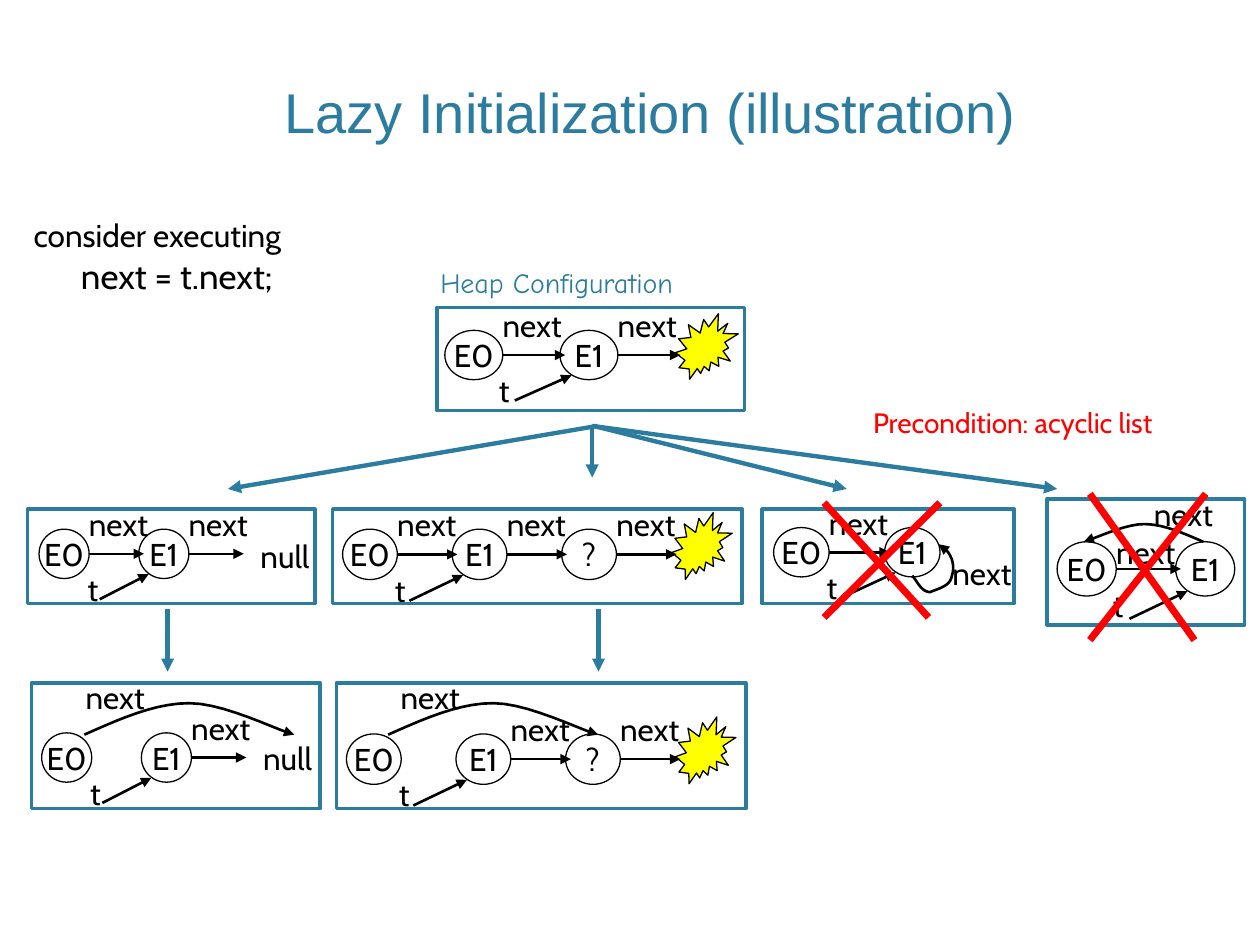
from dataclasses import dataclass

from lxml.etree import SubElement
from pptx import Presentation
from pptx.dml.color import RGBColor
from pptx.enum.shapes import MSO_CONNECTOR as Link, MSO_SHAPE as Shape
from pptx.enum.text import MSO_ANCHOR as Anchor, MSO_AUTO_SIZE as Fit, PP_ALIGN as Align
from pptx.oxml.ns import qn
from pptx.util import Pt


@dataclass(frozen=True)
class Theme:
    teal: str = "2C7C9F"
    black: str = "000000"
    red: str = "FF0000"
    yellow: str = "FFFF00"
    body_font: str = "Cabin"
    title_font: str = "Arial"
    caption_font: str = "Comic Neue"
    title: int = 32
    code: int = 20
    body: int = 18
    caption: int = 16


def write(para, text, *, size, color, font, align=None):
    span = para.add_run()
    span.text = text
    span.font.size = Pt(size)
    span.font.name = font
    span.font.color.rgb = RGBColor.from_string(color)
    if align is not None:
        para.alignment = align


def bezier(start, controls, steps=10):
    points = []
    for first in range(0, len(controls), 3):
        one, two, end = controls[first:first + 3]
        for step in range(1, steps + 1):
            t = step / steps
            u = 1 - t
            points.append(tuple(
                u**3 * a + 3 * u * u * t * b + 3 * u * t * t * c + t**3 * d
                for a, b, c, d in zip(start, one, two, end)))
        start = end
    return points


class Sketch:
    label_widths = {"next": 49, "t": 19.5, "null": 43.2}

    def __init__(self, slide, theme):
        self.slide = slide
        self.theme = theme

    def outline(self, item, color, weight, arrow=False):
        item.line.color.rgb = RGBColor.from_string(color)
        item.line.width = Pt(weight)
        if arrow:
            SubElement(item.line._get_or_add_ln(), qn("a:tailEnd"), type="triangle")

    def shape(self, kind, left, top, width, height, color, weight, fill=None):
        item = self.slide.shapes.add_shape(kind, Pt(left), Pt(top), Pt(width), Pt(height))
        item.shadow.inherit = False
        if fill:
            item.fill.solid()
            item.fill.fore_color.rgb = RGBColor.from_string(fill)
        else:
            item.fill.background()
        self.outline(item, color, weight)
        return item

    def frame(self, left, top, width, height):
        self.shape(Shape.RECTANGLE, left, top, width, height, self.theme.teal, 2)

    def burst(self, left, top, width=34.6, height=38.2):
        self.shape(Shape.EXPLOSION2, left, top, width, height,
                   self.theme.black, 0.75, self.theme.yellow)

    def node(self, text, left, top, width, height):
        item = self.shape(Shape.OVAL, left, top, width, height, self.theme.black, 0.75)
        box = item.text_frame
        box.word_wrap = False
        box.vertical_anchor = Anchor.MIDDLE
        write(box.paragraphs[0], text, size=self.theme.body, color=self.theme.black,
              font=self.theme.body_font, align=Align.CENTER)

    def line(self, start, end, color, weight, arrow=True):
        item = self.slide.shapes.add_connector(Link.STRAIGHT, *map(Pt, start + end))
        self.outline(item, color, weight, arrow)
        SubElement(item._element.spPr, qn("a:effectLst"))

    def pointer(self, start, end):
        self.line(start, end, self.theme.black, 1.5)

    def branch(self, start, end):
        self.line(start, end, self.theme.teal, 2.5)

    def cross(self, left, top, right, bottom, stroke_right):
        self.line((left, top), (stroke_right, bottom), self.theme.red, 4, False)
        self.line((right, top), (left, bottom), self.theme.red, 4, False)

    def curve(self, start, *controls):
        builder = self.slide.shapes.build_freeform(*map(Pt, start))
        builder.add_line_segments(
            [(Pt(x), Pt(y)) for x, y in bezier(start, controls)], close=False)
        item = builder.convert_to_shape()
        item.shadow.inherit = False
        item.fill.background()
        self.outline(item, self.theme.black, 1.5, True)

    def text_box(self, left, top, width, height, wrap=False, fit=Fit.SHAPE_TO_FIT_TEXT):
        box = self.slide.shapes.add_textbox(
            Pt(left), Pt(top), Pt(width), Pt(height)).text_frame
        box.word_wrap = wrap
        box.auto_size = fit
        return box

    def label(self, text, left, top):
        box = self.text_box(left, top, self.label_widths[text], 30.2)
        write(box.paragraphs[0], text, size=self.theme.body,
              color=self.theme.black, font=self.theme.body_font)

    def chain(self, names, links, left, top, width, height, pitch, lift=17.3):
        for index, name in enumerate(names):
            self.node(name, left + index * pitch, top, width, height)
        for index in links:
            edge = left + index * pitch + width
            middle = top + height / 2
            self.pointer((edge, middle), (edge + pitch - width + 3, middle))
            self.label("next", edge - 7.2, top - lift)
        second = left + pitch
        self.pointer((second - 0.78 * width, top + 1.42 * height),
                     (second + 0.2 * width, top + 0.91 * height))
        self.label("t", second - 1.27 * width, top + 0.7 * height)


def headings(sketch):
    theme = sketch.theme
    title = sketch.text_box(126, 32.4, 491.8, 54, wrap=True, fit=Fit.NONE)
    title.vertical_anchor = Anchor.BOTTOM
    write(title.paragraphs[0], "Lazy Initialization (illustration)", size=theme.title,
          color=theme.teal, font=theme.title_font, align=Align.CENTER)

    para = sketch.text_box(12.2, 120.2, 360, 108, wrap=True, fit=Fit.NONE).paragraphs[0]
    indent = para._p.get_or_add_pPr()
    indent.set("marL", str(Pt(27)))
    indent.set("indent", str(Pt(-27)))
    write(para, "consider executing", size=theme.body, color=theme.black, font=theme.body_font)
    para.add_line_break()
    write(para, "next = t.next;", size=theme.code, color=theme.black, font=theme.body_font)

    caption = sketch.text_box(241.2, 148.3, 159.1, 26.6)
    write(caption.paragraphs[0], "Heap Configuration ", size=theme.caption,
          color=theme.teal, font=theme.caption_font, align=Align.CENTER)
    condition = sketch.text_box(491.8, 228.2, 203.8, 26.6, wrap=True)
    write(condition.paragraphs[0], "Precondition: acyclic list", size=theme.caption,
          color=theme.red, font=theme.body_font)


def heap_panels(sketch):
    pair, triple = ("E0", "E1"), ("E0", "E1", "?")

    sketch.burst(385.9, 179.3, 36, 37.4)
    sketch.chain(pair, (0, 1), 254.2, 188.8, 33.1, 28.2, 65.8)
    sketch.frame(249.8, 175.7, 175.7, 59)

    sketch.chain(pair, (0, 1), 22.3, 302.4, 28.6, 28.2, 57)
    sketch.label("null", 141.8, 303.1)
    sketch.frame(15.8, 290.9, 164.2, 54)

    sketch.burst(383.8, 293)
    sketch.chain(triple, (0, 1, 2), 195.8, 302.4, 31.3, 28.8, 62.6)
    sketch.frame(190.1, 290.9, 234, 54)

    sketch.chain(pair, (0,), 442.1, 301.5, 31.7, 28.2, 63.4)
    sketch.curve((521.3, 329), (524, 331.5), (526, 338), (531.4, 338.4),
                 (537, 336), (543, 335), (544, 329),
                 (546, 323), (544, 315), (536.4, 311))
    sketch.label("next", 537.1, 313.2)
    sketch.frame(435.6, 290.9, 144, 54)

    sketch.chain(pair, (0,), 604.1, 309.6, 33.8, 31, 67.7, lift=8.6)
    sketch.label("next", 652.3, 279.4)
    sketch.curve((687.6, 309.6), (676, 304.6), (664.6, 299.5), (653.8, 299.5),
                 (642.2, 299.5), (625, 308.2), (619.2, 309.6))
    sketch.frame(598.3, 285.1, 113, 72)

    sketch.chain(pair, (1,), 23.8, 418.8, 28.6, 28.2, 57)
    sketch.label("null", 143.3, 419)
    sketch.frame(18, 390.2, 164.9, 72)

    sketch.burst(385.9, 409.7)
    sketch.chain(triple, (1, 2), 198, 419.4, 31.3, 28.8, 62.6)
    sketch.frame(192.2, 390.2, 234, 72)

    for curve_left, label_left in ((48.2, 41.8), (221.8, 221.8)):
        sketch.curve((curve_left, 419.8), (curve_left + 20, 411),
                     (curve_left + 40, 401.8), (curve_left + 60, 401.8),
                     (curve_left + 80, 401.8), (curve_left + 109.5, 417),
                     (curve_left + 120, 419.8))
        sketch.label("next", label_left, 383.8)


def transitions(sketch):
    for start, end in (((341.3, 243.4), (130.3, 279.4)), ((338.4, 243.4), (338.4, 272.9)),
                       ((339.1, 243.4), (483.8, 279.4)), ((338.4, 243.4), (604.1, 279.4))):
        sketch.branch(start, end)
    for x in (95.8, 342):
        sketch.branch((x, 347.8), (x, 383.8))
    sketch.cross(470.9, 287.3, 537.1, 352.8, 530.6)
    sketch.cross(622.8, 282.2, 689, 365.8, 682.6)


def main():
    deck = Presentation()
    deck.slide_width, deck.slide_height = Pt(720), Pt(540)
    page = deck.slides.add_slide(deck.slide_layouts[6])
    sketch = Sketch(page, Theme())
    headings(sketch)
    heap_panels(sketch)
    transitions(sketch)
    deck.save("out.pptx")


if __name__ == "__main__":
    main()
